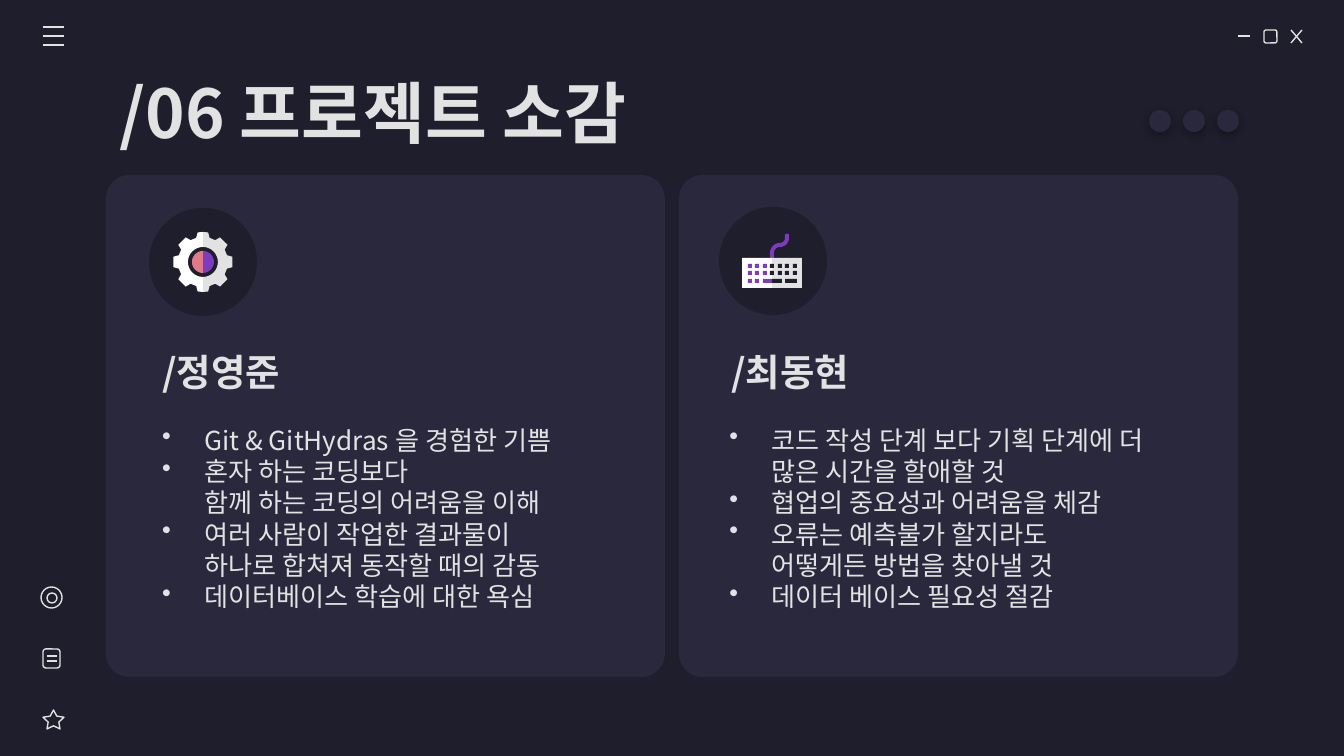
from math import cos, radians, sin

from lxml import etree
from pptx import Presentation
from pptx.dml.color import RGBColor
from pptx.enum.shapes import MSO_CONNECTOR, MSO_SHAPE
from pptx.enum.text import MSO_ANCHOR, MSO_AUTO_SIZE, PP_ALIGN
from pptx.oxml import parse_xml
from pptx.oxml.ns import nsdecls, qn
from pptx.util import Emu, Pt

STRAIGHT = MSO_CONNECTOR.STRAIGHT
ROUNDED = MSO_SHAPE.ROUNDED_RECTANGLE
RECTANGLE = MSO_SHAPE.RECTANGLE
OVAL = MSO_SHAPE.OVAL
STAR = MSO_SHAPE.STAR_5_POINT
PIE = MSO_SHAPE.PIE
MIDDLE = MSO_ANCHOR.MIDDLE
FIXED = MSO_AUTO_SIZE.NONE
LEFT = PP_ALIGN.LEFT

EMU_PER_PX = 9144000 / 1344
DARK, PANEL, LIGHT, WHITE = "1E1E2C", "29283D", "E2E2E2", "FFFFFF"
PURPLE, PINK = "7E3BBE", "E07A88"

AUTHORS = [
    (149, 149, "/정영준", [
        "Git & GitHydras 을 경험한 기쁨",
        "혼자 하는 코딩보다\n함께 하는 코딩의 어려움을 이해",
        "여러 사람이 작업한 결과물이\n하나로 합쳐져 동작할 때의 감동",
        "데이터베이스 학습에 대한 욕심",
    ]),
    (718, 716, "/최동현", [
        "코드 작성 단계 보다 기획 단계에 더 많은 시간을 할애할 것",
        "협업의 중요성과 어려움을 체감",
        "오류는 예측불가 할지라도\n어떻게든 방법을 찾아낼 것",
        "데이터 베이스 필요성 절감",
    ]),
]


def px(value):
    return Emu(round(value * EMU_PER_PX))


def color(value):
    return RGBColor.from_string(value)


def polar(center, radius, angle):
    return (center[0] + radius * sin(radians(angle)),
            center[1] - radius * cos(radians(angle)))


def arc(center, radius, start, end, steps=16):
    return [polar(center, radius, start + (end - start) * step / steps)
            for step in range(steps + 1)]


def half_gear(center, side):
    teeth = [(45 * tooth + offset, radius) for tooth in range(5)
             for offset, radius in ((-15.5, 25), (-10, 30), (10, 30), (15.5, 25))]
    profile = [(0, 30)] + [tooth for tooth in teeth if 0 < tooth[0] < 180] + [(180, 30)]
    outside = [polar(center, radius, side * angle) for angle, radius in profile]
    return outside + arc(center, 15, side * 180, 0)


class SlideBuilder:
    font = "Noto Sans CJK KR"
    line_width = Pt(0.75)

    def __init__(self, slide):
        self.slide = slide
        self.shapes = slide.shapes
        slide.background.fill.solid()
        slide.background.fill.fore_color.rgb = color(DARK)

    def paint(self, shape, fill, outline=None):
        shape.shadow.inherit = False
        if fill:
            shape.fill.solid()
            shape.fill.fore_color.rgb = color(fill)
        else:
            shape.fill.background()
        if outline:
            shape.line.color.rgb = color(outline)
            shape.line.width = self.line_width
        else:
            shape.line.fill.background()
        return shape

    def shape(self, kind, left, top, width, height, fill=None, outline=None, adjust=()):
        shape = self.shapes.add_shape(kind, px(left), px(top), px(width), px(height))
        for index, value in enumerate(adjust):
            shape.adjustments[index] = value
        return self.paint(shape, fill, outline)

    def outline(self, points, fill):
        points = [(px(x), px(y)) for x, y in points]
        builder = self.shapes.build_freeform(*points[0], scale=1.0)
        builder.add_line_segments(points[1:], close=True)
        return self.paint(builder.convert_to_shape(), fill)

    def line(self, x1, y1, x2, y2):
        line = self.shapes.add_connector(STRAIGHT, px(x1), px(y1), px(x2), px(y2))
        line.line.color.rgb = color(LIGHT)
        line.line.width = self.line_width
        etree.SubElement(line._element.spPr, qn("a:effectLst"))

    def shadow(self, shape):
        effects = shape._element.spPr.find(qn("a:effectLst"))
        effects.append(parse_xml(
            f'<a:outerShdw {nsdecls("a")} blurRad="{Pt(4.5)}" dist="{Pt(1.5)}" dir="5400000">'
            '<a:srgbClr val="000000"><a:alpha val="30000"/></a:srgbClr></a:outerShdw>'))

    def bullet(self, para):
        properties = para._p.get_or_add_pPr()
        properties.set("marL", str(px(42)))
        properties.set("indent", str(-px(42)))
        for xml in (f'<a:buClr {nsdecls("a")}><a:srgbClr val="{LIGHT}"/></a:buClr>',
                    f'<a:buChar {nsdecls("a")} char="•"/>'):
            properties.append(parse_xml(xml))

    def span(self, para, text, size, bold):
        span = para.add_run()
        span.text = text
        span.font.name = self.font
        span.font.size = Pt(size)
        span.font.bold = bold
        span.font.color.rgb = color(LIGHT)
        east_asian = etree.SubElement(span._r.get_or_add_rPr(), qn("a:ea"))
        east_asian.set("typeface", self.font)

    def set_text(self, box, paragraphs, size, bold=False, bullets=False, spacing=None):
        frame = box.text_frame
        frame.word_wrap = True
        frame.auto_size = FIXED
        frame.vertical_anchor = MIDDLE
        frame.margin_left = frame.margin_right = Pt(7.2)
        frame.margin_top = frame.margin_bottom = Pt(7.2)
        for index, text in enumerate(paragraphs):
            para = frame.add_paragraph() if index else frame.paragraphs[0]
            if bullets:
                self.bullet(para)
            para.alignment = LEFT
            para.line_spacing = Pt(spacing) if spacing else None
            for number, part in enumerate(text.split("\n")):
                if number:
                    para.add_line_break()
                self.span(para, part, size, bold)

    def text(self, left, top, width, height, paragraphs, size, **style):
        box = self.shapes.add_textbox(px(left), px(top), px(width), px(height))
        self.set_text(box, paragraphs, size, **style)

    def title(self, left, top, width, height, text, size):
        box = self.shapes.title
        box.left, box.top, box.width, box.height = map(px, (left, top, width, height))
        self.set_text(box, [text], size, bold=True)

    def badge(self, left, top):
        self.shape(OVAL, left, top, 108, 108, DARK)
        self.shape(PIE, left, top, 108, 108, DARK, adjust=(32.63, 97.2)).rotation = 180

    def gear(self, center):
        for side, body, core in ((1, LIGHT, PURPLE), (-1, WHITE, PINK)):
            self.outline(arc(center, 11, 0, side * 180), core)
            self.outline(half_gear(center, side), body)

    def keyboard(self, left, top):
        upper, lower = (left + 38, top - 20), (left + 38, top - 5)
        cable = [(left + 43, top - 24)] + arc(upper, 5, 90, 180) + arc(lower, 10, 0, -90)
        cable += [(left + 28, top + 4), (left + 32, top + 4)]
        cable += arc(lower, 6, -90, 0) + arc(upper, 9, 180, 90) + [(left + 47, top - 24)]
        self.outline(cable, PURPLE)
        self.shape(RECTANGLE, left + 30, top, 30, 30, LIGHT)
        self.shape(RECTANGLE, left, top, 30, 30, WHITE)
        keys = [(6 + column * 15 // 2, row, 4) for row in (6, 13) for column in range(7)]
        keys += [(6, 21, 4), (13, 21, 4), (21, 21, 9), (30, 21, 10), (43, 21, 12)]
        for x, y, width in keys:
            self.shape(RECTANGLE, left + x, top + y, width, 4, PURPLE if x < 28 else DARK)


def main():
    deck = Presentation()
    deck.slide_width, deck.slide_height = px(1344), px(756)
    page = SlideBuilder(deck.slides.add_slide(deck.slide_layouts[5]))

    for left in (106, 679):
        page.shape(ROUNDED, left, 175, 559, 502, PANEL, adjust=[0.047])

    page.line(1238, 36, 1250, 36)
    page.shape(ROUNDED, 1264, 30, 13, 13, outline=LIGHT)
    page.line(1291, 30, 1302, 43)
    page.line(1302, 30, 1291, 43)
    for y in (27, 36, 45):
        page.line(43, y, 64, y)

    page.shape(STAR, 43, 710, 21, 19, outline=LIGHT, adjust=[0.254])
    page.shape(ROUNDED, 43, 649, 17, 19, outline=LIGHT)
    for y in (656, 661):
        page.line(47, y, 57, y)
    page.shape(OVAL, 41, 587, 21, 21, outline=LIGHT)
    page.shape(OVAL, 47, 593, 10, 10, outline=LIGHT)

    page.badge(149, 208)
    page.gear((203, 262))
    page.badge(719, 207)
    page.keyboard(742, 258)

    for index in range(3):
        page.shadow(page.shape(OVAL, 1149 + 34 * index, 110, 22, 22, PANEL))

    page.title(106, 69, 1133, 85, "/06 프로젝트 소감", 36)
    for heading_left, body_left, name, thoughts in AUTHORS:
        page.text(heading_left, 337, 433, 69, [name], 20, bold=True)
        page.text(body_left, 406, 477, 224, thoughts, 14, bullets=True, spacing=16.8)

    deck.save("out.pptx")


if __name__ == "__main__":
    main()
